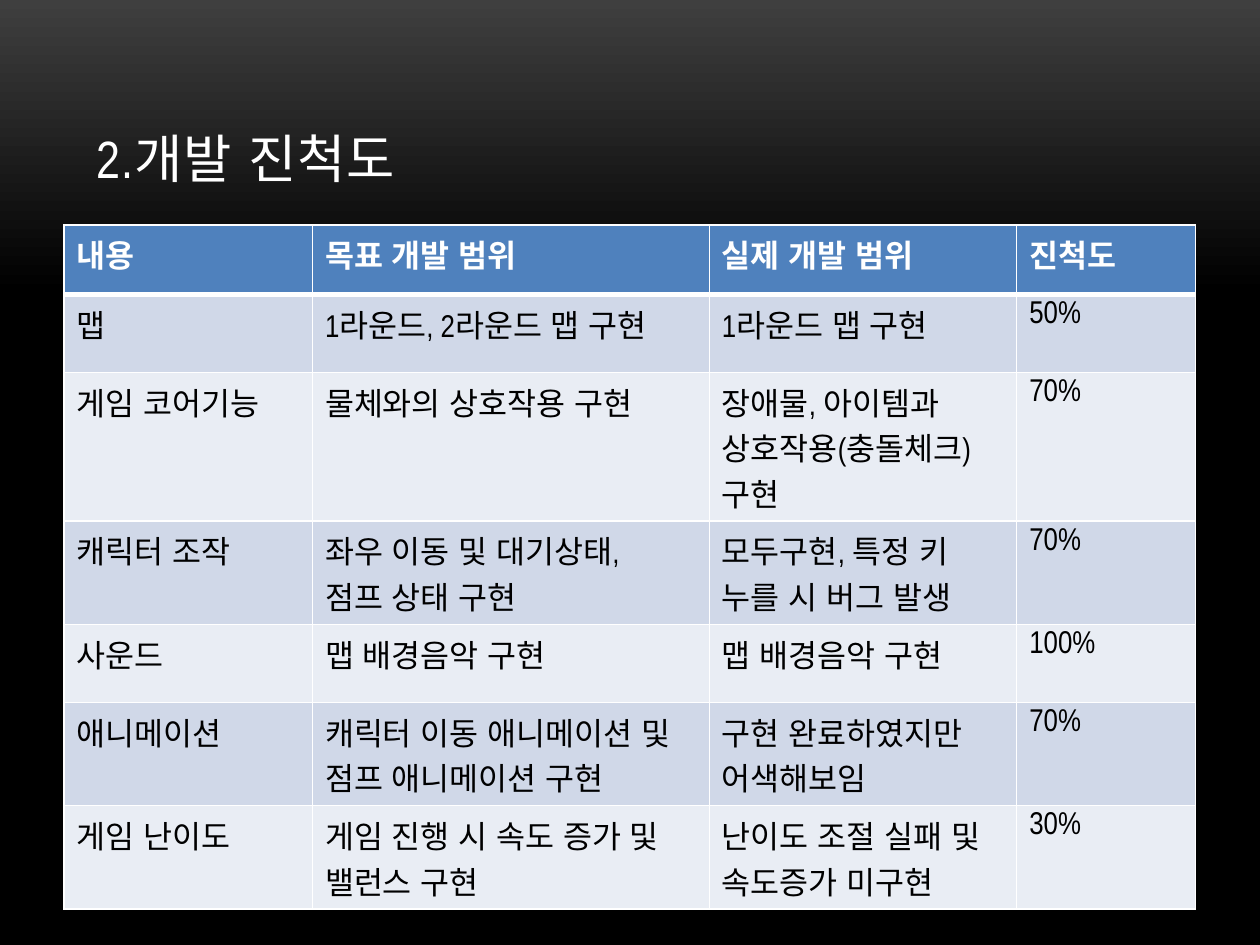
from lxml import etree
from pptx import Presentation
from pptx.dml.color import RGBColor
from pptx.enum.lang import MSO_LANGUAGE_ID
from pptx.enum.text import MSO_ANCHOR
from pptx.oxml.ns import qn
from pptx.util import Inches, Pt

BOTTOM = MSO_ANCHOR.BOTTOM
KOREAN = MSO_LANGUAGE_ID.KOREAN
WIDTH, HEIGHT = Inches(10), Inches(7.5)
BLANK_LAYOUT = 6
COLORS = {
    "glow": "3F3F3F",
    "black": "000000",
    "white": "FFFFFF",
    "header": "4F81BD",
    "odd_row": "D0D8E8",
    "even_row": "E9EDF4",
}
THIN, THICK = 1, 3

COLUMN_SHARES = [0.197, 0.315, 0.244, 0.142]
HEADER_ROW, ONE_LINE, TWO_LINES, THREE_LINES = 0.55, 0.62, 0.82, 1.18
ROW_INCHES = [HEADER_ROW, ONE_LINE, THREE_LINES, TWO_LINES,
              ONE_LINE, TWO_LINES, TWO_LINES]
PROGRESS_ROWS = [
    ["내용", "목표 개발 범위", "실제 개발 범위", "진척도"],
    ["맵", "1라운드, 2라운드 맵 구현", "1라운드 맵 구현", "50%"],
    ["게임 코어기능", "물체와의 상호작용 구현",
     "장애물, 아이템과 상호작용(충돌체크) 구현", "70%"],
    ["캐릭터 조작", "좌우 이동 및 대기상태,\n점프 상태 구현",
     "모두구현, 특정 키 누를 시 버그 발생", "70%"],
    ["사운드", "맵 배경음악 구현", "맵 배경음악 구현", "100%"],
    ["애니메이션", "캐릭터 이동 애니메이션 및 점프 애니메이션 구현",
     "구현 완료하였지만 어색해보임", "70%"],
    ["게임 난이도", "게임 진행 시 속도 증가 및 밸런스 구현",
     "난이도 조절 실패 및 속도증가 미구현", "30%"],
]


def color(name):
    return RGBColor.from_string(COLORS[name])


def write_text(text_frame, text, *, size, color_name, font, bold=False, spacing=None):
    """Write one paragraph; spacing is the letter spacing in points."""
    paragraph = text_frame.paragraphs[0]
    for index, line in enumerate(text.split("\n")):
        if index:
            paragraph.add_line_break()
        run = paragraph.add_run()
        run.text = line
        run.font.name = font
        run.font.size = Pt(size)
        run.font.bold = bold
        run.font.language_id = KOREAN
        run.font.color.rgb = color(color_name)
        if spacing is not None:
            run.font._element.set("spc", str(round(spacing * 100)))


def set_borders(cell, top, bottom):
    """Draw white cell borders; top and bottom are widths in points."""
    properties = cell._tc.get_or_add_tcPr()
    for side, width in (("L", THIN), ("R", THIN), ("T", top), ("B", bottom)):
        line = etree.SubElement(properties, qn(f"a:ln{side}"), w=str(Pt(width)))
        fill = etree.SubElement(line, qn("a:solidFill"))
        etree.SubElement(fill, qn("a:srgbClr"), val=COLORS["white"])


class SlideBuilder:
    """Hold the text style and the current slide; lengths are shares of the slide."""

    font = "Arial Narrow"
    title_size = 30
    table_size = 18

    def __init__(self, slide):
        self.slide = slide

    def background(self, top, bottom, end):
        """Fade downwards from top to bottom, finishing at the share end."""
        fill = self.slide.background.fill
        fill.gradient()
        fill.gradient_angle = 270
        for stop, name, position in zip(fill.gradient_stops, (top, bottom), (0, end)):
            stop.color.rgb = color(name)
            stop.position = position

    def title(self, text, left, top, width, height):
        box = self.slide.shapes.add_textbox(
            round(left * WIDTH), round(top * HEIGHT),
            round(width * WIDTH), round(height * HEIGHT))
        box.text_frame.word_wrap = True
        box.text_frame.vertical_anchor = BOTTOM
        write_text(box.text_frame, text, size=self.title_size, color_name="white",
                   font=self.font, spacing=0.5)

    def table(self, rows, column_shares, row_inches, left, top):
        widths = [round(share * WIDTH) for share in column_shares]
        heights = [Inches(height) for height in row_inches]
        table = self.slide.shapes.add_table(
            len(rows), len(widths), round(left * WIDTH), round(top * HEIGHT),
            sum(widths), sum(heights)).table
        for column, width in zip(table.columns, widths):
            column.width = width
        for row, height in zip(table.rows, heights):
            row.height = height
        for row_index, texts in enumerate(rows):
            for column_index, text in enumerate(texts):
                self.table_cell(table.cell(row_index, column_index), text, row_index)

    def table_cell(self, cell, text, row_index):
        is_header = row_index == 0
        set_borders(cell, top=THICK if row_index == 1 else THIN,
                    bottom=THICK if is_header else THIN)
        band = "odd_row" if row_index % 2 else "even_row"
        cell.fill.solid()
        cell.fill.fore_color.rgb = color("header" if is_header else band)
        write_text(cell.text_frame, text, size=self.table_size, font=self.font,
                   color_name="white" if is_header else "black", bold=is_header)


def main():
    presentation = Presentation()
    presentation.slide_width, presentation.slide_height = WIDTH, HEIGHT
    layout = presentation.slide_layouts[BLANK_LAYOUT]
    builder = SlideBuilder(presentation.slides.add_slide(layout))
    builder.background("glow", "black", end=0.31)
    builder.title("2.개발 진척도", left=0.067, top=0.04, width=0.867, height=0.167)
    builder.table(PROGRESS_ROWS, COLUMN_SHARES, ROW_INCHES, left=0.051, top=0.238)
    presentation.save("out.pptx")


if __name__ == "__main__":
    main()
